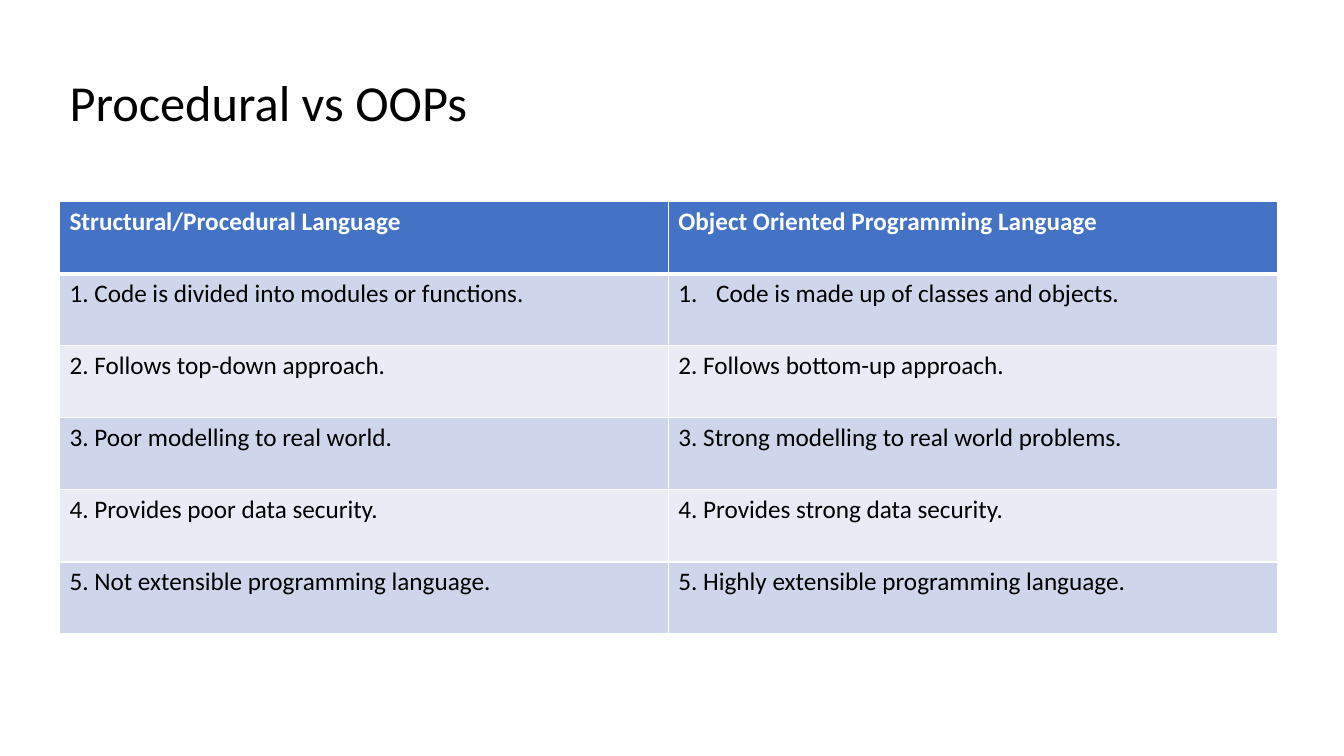
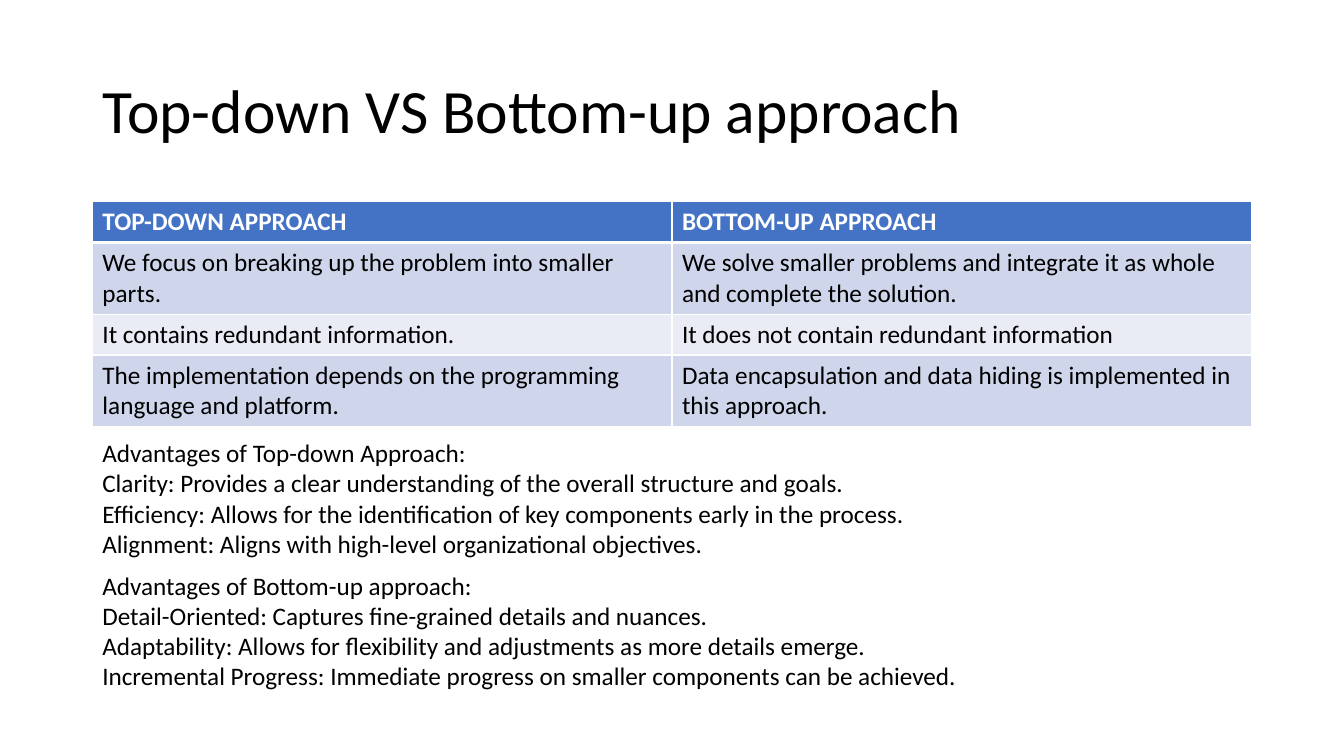
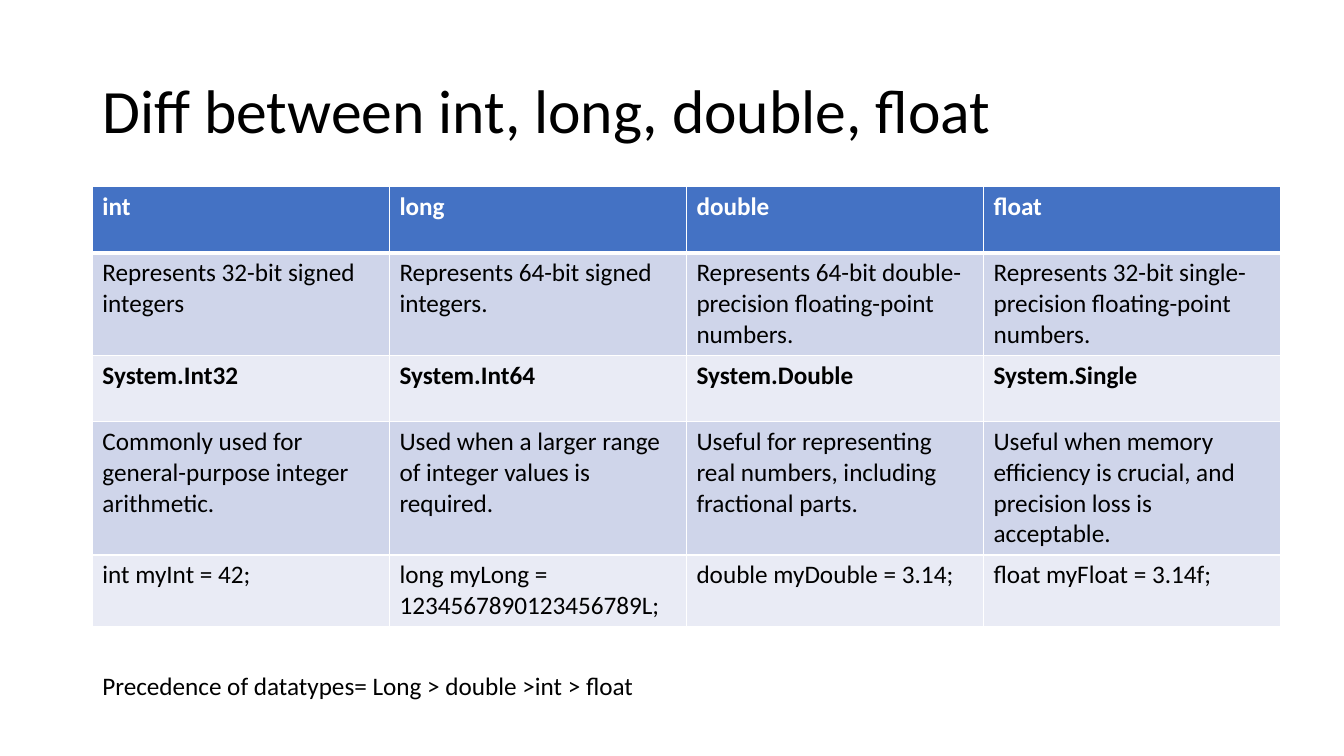
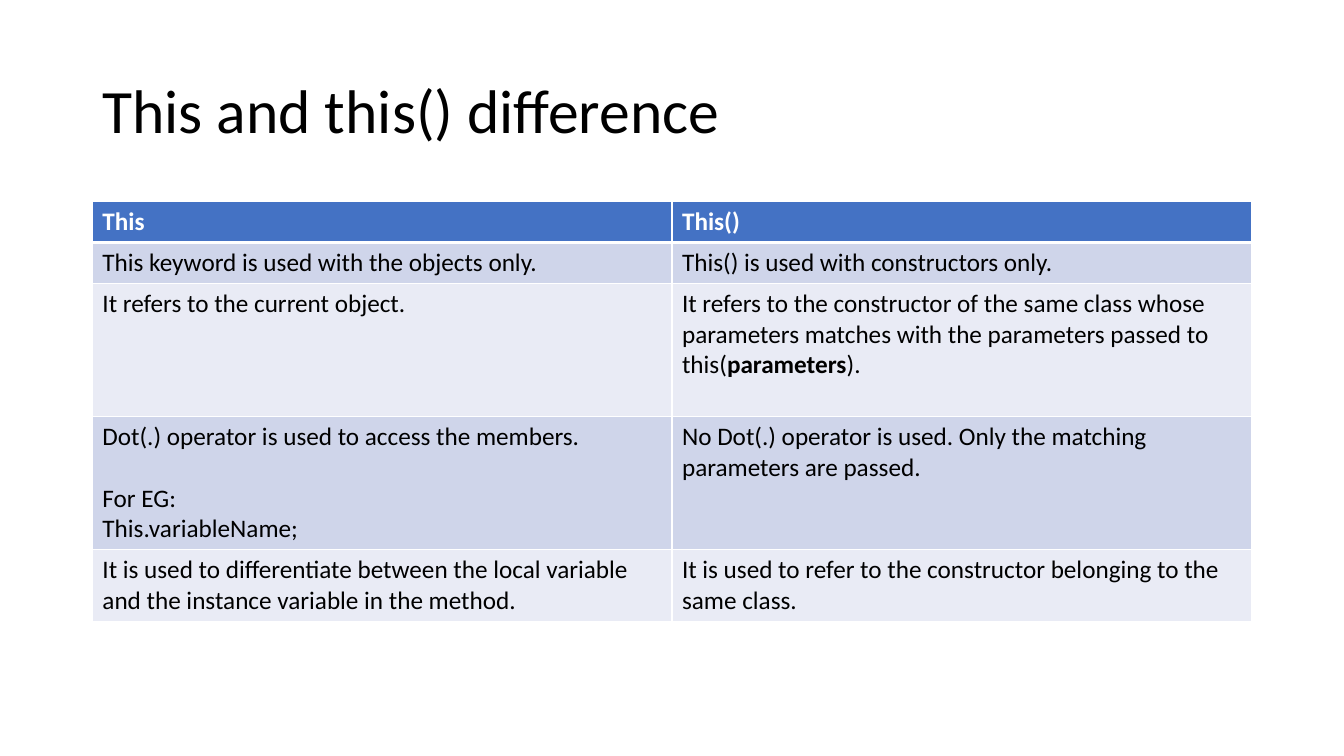
import dataclasses

import lxml.etree
import pptx
import pptx.dml.color
import pptx.enum.text
import pptx.oxml.ns
import pptx.util

Pt = pptx.util.Pt
RGB = pptx.dml.color.RGBColor.from_string
qn = pptx.oxml.ns.qn


@dataclasses.dataclass(frozen=True)
class Theme:
    font: str = "Calibri"
    text: str = "000000"
    white: str = "FFFFFF"
    header: str = "4472C4"
    bands: tuple = ("CFD5EA", "E9EBF5")
    title_size: float = 44
    small_title_size: float = 36
    body_size: float = 18
    line: float = 1
    header_line: float = 3


THEME = Theme()
TITLE_BOX = (66, 28.8, 828, 104.4)
ONE_LINE, TWO_LINES, FOUR_LINES = 29.2, 51.2, 95.2

LANGUAGES = [
    ("Structural/Procedural Language", "Object Oriented Programming Language"),
    ("1. Code is divided into modules or functions.", "Code is made up of classes and objects."),
    ("2. Follows top-down approach.", "2. Follows bottom-up approach."),
    ("3. Poor modelling to real world.", "3. Strong modelling to real world problems."),
    ("4. Provides poor data security.", "4. Provides strong data security."),
    ("5. Not extensible programming language.", "5. Highly extensible programming language."),
]
APPROACHES = [
    ("TOP-DOWN APPROACH", "BOTTOM-UP APPROACH"),
    ("We focus on breaking up the problem into smaller parts.",
     "We solve smaller problems and integrate it as whole and complete the solution."),
    ("It contains redundant information.", "It does not contain redundant information"),
    ("The implementation depends on the programming language and platform.",
     "Data encapsulation and data hiding is implemented in this approach."),
]
TOP_DOWN_ADVANTAGES = """Advantages of Top-down Approach:
Clarity: Provides a clear understanding of the overall structure and goals.
Efficiency: Allows for the identification of key components early in the process.
Alignment: Aligns with high-level organizational objectives."""
BOTTOM_UP_ADVANTAGES = """Advantages of Bottom-up approach:
Detail-Oriented: Captures fine-grained details and nuances.
Adaptability: Allows for flexibility and adjustments as more details emerge.
Incremental Progress: Immediate progress on smaller components can be achieved."""
DATATYPES = [
    ("int", "long", "double", "float"),
    ("Represents 32-bit signed integers", "Represents 64-bit signed integers.",
     "Represents 64-bit double-precision floating-point numbers.",
     "Represents 32-bit single-precision floating-point numbers."),
    ("**System.Int32**", "**System.Int64**", "**System.Double**", "**System.Single**"),
    ("Commonly used for general-purpose integer arithmetic.",
     "Used when a larger range of integer values is required.",
     "Useful for representing real numbers, including fractional parts.",
     "Useful when memory efficiency is crucial, and precision loss is acceptable."),
    ("int myInt = 42;", "long myLong = 1234567890123456789L;",
     "double myDouble = 3.14;", "float myFloat = 3.14f;"),
]
THIS_KEYWORD = [
    ("This", "This()"),
    ("This keyword is used with the objects only.", "This() is used with constructors only."),
    ("It refers to the current object.",
     "It refers to the constructor of the same class whose parameters matches "
     "with the parameters passed to this(**parameters**)."),
    ("Dot(.) operator is used to access the members.\nFor EG:\nThis.variableName;",
     "No Dot(.) operator is used. Only the matching parameters are passed."),
    ("It is used to differentiate between the local variable and the instance variable in the method.",
     "It is used to refer to the constructor belonging to the same class."),
]


def set_all(obj, values):
    for name, value in values.items():
        setattr(obj, name, value)


def write(tf, text, size=THEME.body_size, color=THEME.text, bold=False):
    """Write one paragraph per line; a part between ** marks is bold."""
    for i, line in enumerate(text.split("\n")):
        p = tf.add_paragraph() if i else tf.paragraphs[0]
        for j, part in enumerate(line.split("**")):
            if part:
                r = p.add_run()
                r.text = part
                set_all(r.font, {"name": THEME.font, "size": Pt(size), "bold": bold or j % 2 == 1})
                r.font.color.rgb = RGB(color)


def add_titled_slide(prs, title, box=TITLE_BOX, size=THEME.title_size, spacing=0.9):
    slide = prs.slides.add_slide(prs.slide_layouts[5])
    sp = slide.shapes.title
    set_all(sp, dict(zip(("left", "top", "width", "height"), map(Pt, box))))
    tf = sp.text_frame
    set_all(tf, {"word_wrap": True,
                 "auto_size": pptx.enum.text.MSO_AUTO_SIZE.NONE,
                 "vertical_anchor": pptx.enum.text.MSO_ANCHOR.MIDDLE})
    write(tf, title, size)
    set_all(tf.paragraphs[0], {"alignment": pptx.enum.text.PP_ALIGN.LEFT, "line_spacing": spacing})
    return slide


def add_text(slide, box, text):
    tf = slide.shapes.add_textbox(*map(Pt, box)).text_frame
    tf.word_wrap = True
    write(tf, text)


def border_cell(cell, top, bottom):
    tcPr = cell._tc.get_or_add_tcPr()
    for side, width in (("L", THEME.line), ("R", THEME.line), ("T", top), ("B", bottom)):
        ln = lxml.etree.SubElement(tcPr, qn("a:ln" + side), w=str(Pt(width)))
        fill = lxml.etree.SubElement(ln, qn("a:solidFill"))
        lxml.etree.SubElement(fill, qn("a:srgbClr"), val=THEME.white)


def add_grid(slide, left, top, width, heights, rows):
    """Add a table with equal columns, a header row and banded body rows."""
    cols = len(rows[0])
    table = slide.shapes.add_table(
        len(rows), cols, Pt(left), Pt(top), Pt(width), Pt(sum(heights))).table
    for col in table.columns:
        col.width = Pt(width / cols)
    for i, (texts, height) in enumerate(zip(rows, heights)):
        table.rows[i].height = Pt(height)
        header = i == 0
        for j, text in enumerate(texts):
            cell = table.cell(i, j)
            border_cell(cell, THEME.header_line if i == 1 else THEME.line,
                        THEME.header_line if header else THEME.line)
            cell.fill.solid()
            cell.fill.fore_color.rgb = RGB(THEME.header if header else THEME.bands[(i - 1) % 2])
            write(cell.text_frame, text, color=THEME.white if header else THEME.text, bold=header)
    return table


def number_paragraph(p, indent=27):
    pPr = p._p.get_or_add_pPr()
    pPr.set("marL", str(Pt(indent)))
    pPr.set("indent", str(-Pt(indent)))
    lxml.etree.SubElement(pPr, qn("a:buFont"), typeface="+mj-lt")
    lxml.etree.SubElement(pPr, qn("a:buAutoNum"), type="arabicPeriod")


def add_languages(prs):
    slide = add_titled_slide(prs, "Procedural vs OOPs", (42.5, 46.8, 466.6, 51),
                             THEME.small_title_size, 1.0)
    table = add_grid(slide, 42.5, 144, 869.8, [51.5] * len(LANGUAGES), LANGUAGES)
    number_paragraph(table.cell(1, 1).text_frame.paragraphs[0])


def add_approaches(prs):
    slide = add_titled_slide(prs, "Top-down VS Bottom-up approach")
    add_grid(slide, 66, 144, 828, [ONE_LINE, TWO_LINES] * 2, APPROACHES)
    add_text(slide, (66, 309, 658.8, 94.5), TOP_DOWN_ADVANTAGES)
    add_text(slide, (66, 403.5, 853.2, 94.5), BOTTOM_UP_ADVANTAGES)


def add_datatypes(prs):
    slide = add_titled_slide(prs, "Diff between int, long, double, float")
    add_grid(slide, 66, 133.2, 848.8, [47.4, 73.2, 47.4, FOUR_LINES, TWO_LINES], DATATYPES)
    add_text(slide, (66, 475.2, 476.6, 29), "Precedence of datatypes= Long > double >int > float")


def add_this_keyword(prs):
    slide = add_titled_slide(prs, "This and this() difference")
    table = add_grid(slide, 66, 144, 828,
                     [ONE_LINE, ONE_LINE, FOUR_LINES, FOUR_LINES, TWO_LINES], THIS_KEYWORD)
    table.cell(3, 0).text_frame.paragraphs[1].space_before = Pt(22)


def main():
    prs = pptx.Presentation()
    set_all(prs, {"slide_width": Pt(960), "slide_height": Pt(540)})
    for add_slide in (add_languages, add_approaches, add_datatypes, add_this_keyword):
        add_slide(prs)
    prs.save("out.pptx")


if __name__ == "__main__":
    main()
